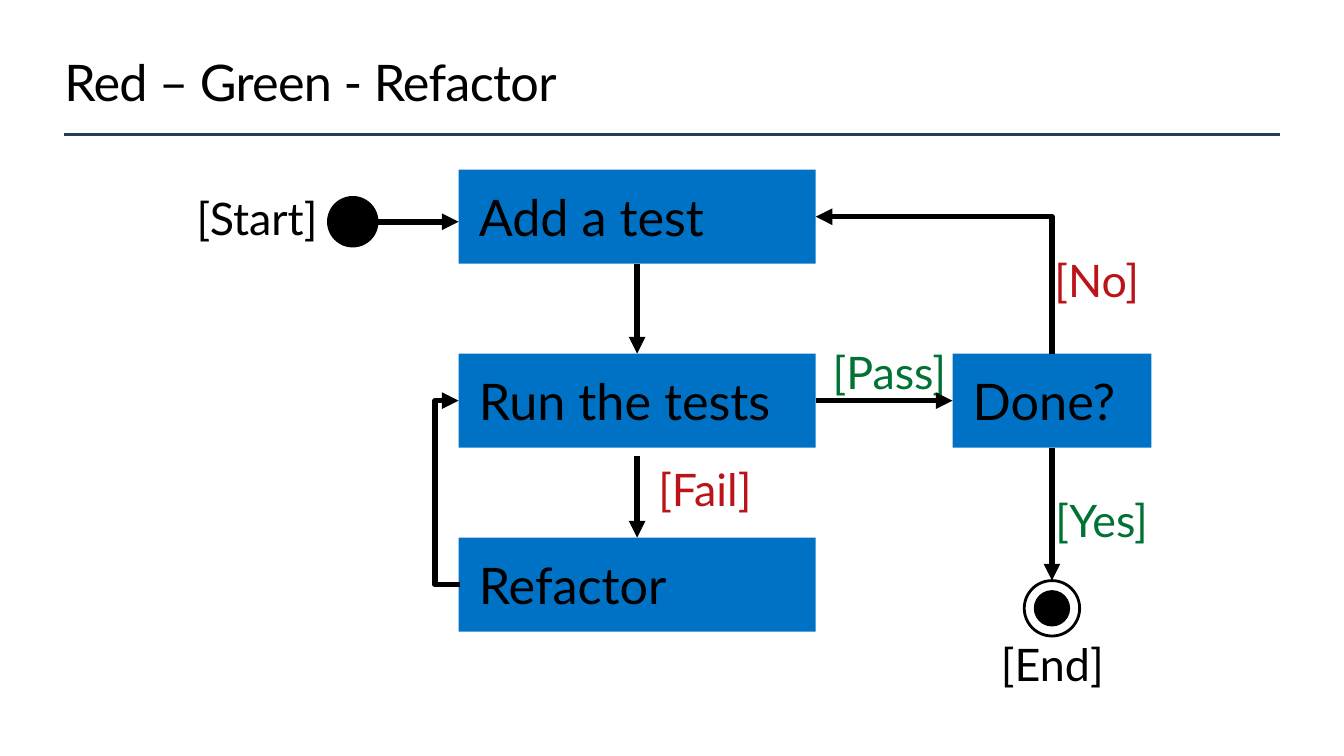
from lxml import etree
from pptx import Presentation
from pptx.dml.color import RGBColor
from pptx.enum.shapes import MSO_CONNECTOR, MSO_SHAPE
from pptx.enum.text import MSO_ANCHOR, MSO_AUTO_SIZE, PP_ALIGN
from pptx.oxml.ns import qn
from pptx.util import Pt

STRAIGHT, ELBOW = MSO_CONNECTOR.STRAIGHT, MSO_CONNECTOR.ELBOW
RECTANGLE, OVAL = MSO_SHAPE.RECTANGLE, MSO_SHAPE.OVAL
TOP, MIDDLE = MSO_ANCHOR.TOP, MSO_ANCHOR.MIDDLE
LEFT = PP_ALIGN.LEFT
GROW = MSO_AUTO_SIZE.SHAPE_TO_FIT_TEXT
TOP_SIDE, LEFT_SIDE, BOTTOM_SIDE, RIGHT_SIDE = range(4)

COLORS = {
    "black": "000000",
    "blue": "0072C6",
    "navy": "243A5E",
    "green": "007233",
    "red": "BA141A",
}


def write(shape, text, size=36, color="black", inset=(14.4, 11.5), anchor=TOP,
          wrap=True, line_spacing=None, tracking=None):
    frame = shape.text_frame
    frame.word_wrap = wrap
    frame.auto_size = GROW
    frame.vertical_anchor = anchor
    frame.margin_left = frame.margin_right = Pt(inset[0])
    frame.margin_top = frame.margin_bottom = Pt(inset[1])
    paragraph = frame.paragraphs[0]
    paragraph.alignment = LEFT
    if line_spacing:
        paragraph.line_spacing = line_spacing
    run = paragraph.add_run()
    run.text = text
    run.font.name = "Lato"
    run.font.size = Pt(size)
    run.font.color.rgb = RGBColor.from_string(COLORS[color])
    if tracking:
        run.font._element.set("spc", str(int(tracking * 100)))


def connect(kind, start, end, color="black", width=4, arrow="tailEnd", bend=None):
    connector = slide.shapes.add_connector(kind, *map(Pt, start + end))
    connector.line.color.rgb = RGBColor.from_string(COLORS[color])
    connector.line.width = Pt(width)
    if arrow:
        etree.SubElement(connector.line._get_or_add_ln(), qn("a:" + arrow), type="triangle")
    properties = connector._element.spPr
    etree.SubElement(properties, qn("a:effectLst"))
    if bend is not None:
        adjustments = properties.find(qn("a:prstGeom")).get_or_add_avLst()
        etree.SubElement(adjustments, qn("a:gd"), name="adj1", fmla=f"val {bend}")
    return connector


prs = Presentation()
prs.slide_width, prs.slide_height = Pt(960), Pt(540)
slide = prs.slides.add_slide(prs.slide_layouts[6])

connect(STRAIGHT, (46, 96), (914.4, 96), color="navy", width=2, arrow=None)
title = slide.shapes.add_textbox(Pt(46), Pt(36), Pt(867.6), Pt(44))
write(title, "Red – Green - Refactor", inset=(0, 0), anchor=MIDDLE, tracking=-0.5)

step_left, step_width, step_height = 327.6, 255, 67.2
first_top, row_pitch = 121.2, 131.4
step_right = step_left + step_width
step_center = step_left + step_width / 2
run_top = first_top + row_pitch
run_middle = run_top + step_height / 2
refactor_top = run_top + row_pitch
done_left, done_width = 680.4, 142
done_center = done_left + done_width / 2

steps = {}
for text, left, top, width in [
    ("Add a test", step_left, first_top, step_width),
    ("Run the tests", step_left, run_top, step_width),
    ("Refactor", step_left, refactor_top, step_width),
    ("Done?", done_left, run_top, done_width),
]:
    step = slide.shapes.add_shape(RECTANGLE, Pt(left), Pt(top), Pt(width), Pt(step_height))
    step.shadow.inherit = False
    step.fill.solid()
    step.fill.fore_color.rgb = RGBColor.from_string(COLORS["blue"])
    step.line.fill.background()
    write(step, text)
    steps[text] = step

start_middle, end_middle = 158.4, 434.5
for center, middle, diameter, filled, outline in [
    (252, start_middle, 36, True, 0.75),
    (done_center, end_middle, 25.2, True, 0.75),
    (done_center, end_middle, 39.6, False, 2),
]:
    marker = slide.shapes.add_shape(
        OVAL, Pt(center - diameter / 2), Pt(middle - diameter / 2), Pt(diameter), Pt(diameter))
    marker.shadow.inherit = False
    if filled:
        marker.fill.solid()
        marker.fill.fore_color.rgb = RGBColor.from_string(COLORS["black"])
    else:
        marker.fill.background()
    marker.line.color.rgb = RGBColor.from_string(COLORS["black"])
    marker.line.width = Pt(outline)

for text, left, top, width, color in [
    ("[Start]", 126, 128.9, 120.2, "black"),
    ("[Pass]", 580.3, 239, 113, "green"),
    ("[Fail]", 455.8, 322.6, 99.4, "red"),
    ("[No]", 738.7, 173.5, 94.3, "red"),
    ("[Yes]", 739.4, 344.9, 97.2, "green"),
    ("[End]", 700.6, 447.8, 105.8, "black"),
]:
    label = slide.shapes.add_textbox(Pt(left), Pt(top), Pt(width), Pt(58.3))
    write(label, text, size=32, color=color, wrap=False, line_spacing=0.9)

connect(STRAIGHT, (270, start_middle), (step_left, start_middle))

add_to_run = connect(STRAIGHT, (step_center, first_top + step_height), (step_center, run_top))
add_to_run.begin_connect(steps["Add a test"], BOTTOM_SIDE)
add_to_run.end_connect(steps["Run the tests"], TOP_SIDE)

run_to_refactor = connect(STRAIGHT, (step_center, 325.4), (step_center, refactor_top))
run_to_refactor.end_connect(steps["Refactor"], TOP_SIDE)

run_to_done = connect(STRAIGHT, (step_right, run_middle), (done_left, run_middle))
run_to_done.begin_connect(steps["Run the tests"], RIGHT_SIDE)
run_to_done.end_connect(steps["Done?"], LEFT_SIDE)

done_to_end = connect(STRAIGHT, (done_center, run_top + step_height), (done_center, 414.7))
done_to_end.begin_connect(steps["Done?"], BOTTOM_SIDE)

connect(ELBOW, (step_left + 1, run_middle + row_pitch), (step_left, run_middle), bend=1800000)
connect(ELBOW, (step_right, run_middle - row_pitch), (done_center, run_top),
        arrow="headEnd", bend=100000)

prs.save("out.pptx")
